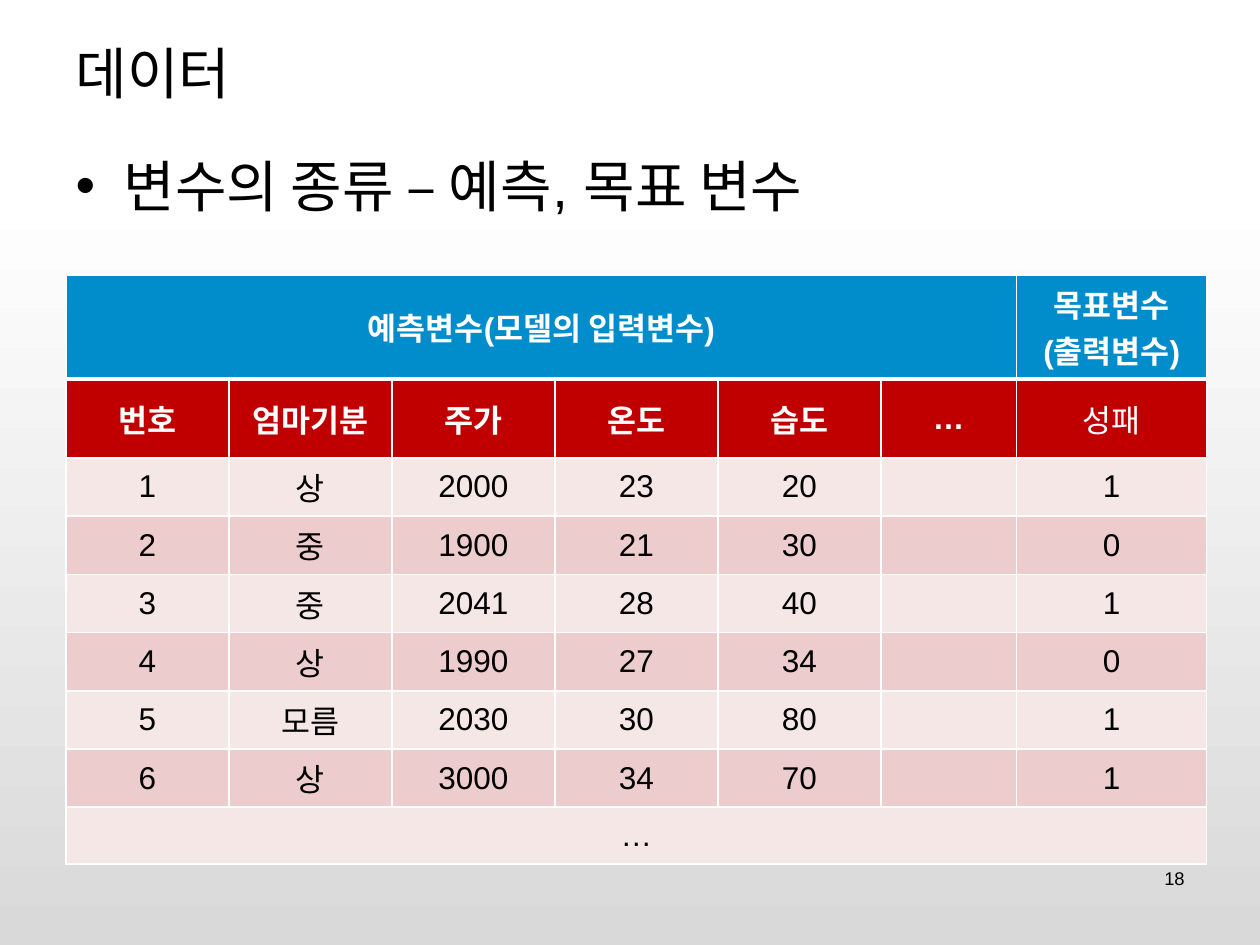
from lxml import etree
from pptx import Presentation, util as u
from pptx.dml.color import RGBColor
from pptx.enum import text
from pptx.oxml.ns import qn

PX = u.Inches(1) / 126
LATIN, KOREAN = "Arial", "Noto Sans CJK KR"
BLACK = RGBColor(0x00, 0x00, 0x00)
WHITE = RGBColor(0xFF, 0xFF, 0xFF)
GRAY = RGBColor(0xD9, 0xD9, 0xD9)
BLUE = RGBColor(0x01, 0x8C, 0xCB)
RED = RGBColor(0xC0, 0x00, 0x00)
PALE = RGBColor(0xF6, 0xE7, 0xE7)
PINK = RGBColor(0xEC, 0xCC, 0xCC)


def write(frame, content, align, **formats):
    """Fill a text frame, one paragraph a line, with Latin and Korean fonts."""
    frame.text = content
    for paragraph in frame.paragraphs:
        paragraph.alignment = align
        paragraph.space_before = u.Pt(0)
        for run in paragraph.runs:
            font = run.font
            font.name = LATIN
            color = formats.get("color", BLACK)
            font.color.rgb = color
            for name, value in formats.items():
                if name != "color":
                    setattr(font, name, value)
            latin = font._element.find(qn("a:latin"))
            east_asian = etree.Element(qn("a:ea"), typeface=KOREAN)
            latin.addnext(east_asian)


def border(cell, bottom_width):
    """Draw white lines on all four sides of a cell."""
    properties = cell._tc.get_or_add_tcPr()
    widths = {"lnL": 1, "lnR": 1, "lnT": 1, "lnB": bottom_width}
    for index, (side, width) in enumerate(widths.items()):
        line = etree.Element(qn("a:" + side), w=str(u.Pt(width)))
        fill = etree.SubElement(line, qn("a:solidFill"))
        etree.SubElement(fill, qn("a:srgbClr"), val=str(WHITE))
        properties.insert(index, line)


presentation = Presentation()
presentation.slide_width = u.Inches(10)
presentation.slide_height = u.Inches(7.5)
slide = presentation.slides.add_slide(presentation.slide_layouts[1])

# Background: white fading to gray downwards
background = slide.background.fill
background.gradient()
background.gradient_angle = 270
for stop, (position, color) in zip(background.gradient_stops, [(0.2, WHITE), (1, GRAY)]):
    stop.position = position
    stop.color.rgb = color

# Title, bullet list and page number
title, body = slide.shapes.title, slide.placeholders[1]
number = slide.shapes.add_textbox(0, 0, 0, 0)
places = [
    (title, (63, 38, 1134, 68), text.MSO_ANCHOR.MIDDLE),
    (body, (63, 145, 1134, 699), text.MSO_ANCHOR.TOP),
    (number, (903, 861, 294, 66), text.MSO_ANCHOR.TOP),
]
for shape, place, anchor in places:
    for name, length in zip(("left", "top", "width", "height"), place):
        setattr(shape, name, round(length * PX))
    shape.text_frame.word_wrap = True
    shape.text_frame.auto_size = text.MSO_AUTO_SIZE.NONE
    shape.text_frame.vertical_anchor = anchor

write(title.text_frame, "데이터", text.PP_ALIGN.LEFT, size=u.Pt(32), name=KOREAN)
write(body.text_frame, "변수의 종류 – 예측, 목표 변수", text.PP_ALIGN.LEFT, size=u.Pt(32))
write(number.text_frame, "18", text.PP_ALIGN.RIGHT, size=u.Pt(10.5))

bullet = body.text_frame.paragraphs[0]._p.get_or_add_pPr()
bullet.set("marL", str(round(48 * PX)))
bullet.set("indent", str(round(-48 * PX)))
etree.SubElement(bullet, qn("a:buFont"), typeface=LATIN)
etree.SubElement(bullet, qn("a:buChar"), char="•")

# Table of predictor and target variables
rows = [
    ["예측변수(모델의 입력변수)", "", "", "", "", "", "목표변수\n(출력변수)"],
    ["번호", "엄마기분", "주가", "온도", "습도", "…", "성패"],
    ["1", "상", "2000", "23", "20", "", "1"],
    ["2", "중", "1900", "21", "30", "", "0"],
    ["3", "중", "2041", "28", "40", "", "1"],
    ["4", "상", "1990", "27", "34", "", "0"],
    ["5", "모름", "2030", "30", "80", "", "1"],
    ["6", "상", "3000", "34", "70", "", "1"],
    ["…", "", "", "", "", "", ""],
]
widths = [163] * 5 + [136, 190]
heights = [89, 79] + [57] * 7
frame = slide.shapes.add_table(
    len(rows), len(widths), *(round(v * PX) for v in (66, 275, sum(widths), sum(heights)))
)
table = frame.table
table.first_row = table.horz_banding = False
for column, width in zip(table.columns, widths):
    column.width = round(width * PX)
for row, height in zip(table.rows, heights):
    row.height = round(height * PX)

table.cell(0, 0).merge(table.cell(0, 5))
table.cell(8, 0).merge(table.cell(8, 6))

for row_index, values in enumerate(rows):
    heading = row_index < 2
    fill = (BLUE, RED)[row_index] if heading else (PALE, PINK)[row_index % 2]
    for column_index, value in enumerate(values):
        cell = table.cell(row_index, column_index)
        cell.fill.solid()
        cell.fill.fore_color.rgb = fill
        cell.vertical_anchor = text.MSO_ANCHOR.MIDDLE
        border(cell, 3 if row_index == 0 else 1)
        if value:
            write(cell.text_frame, value, text.PP_ALIGN.CENTER, size=u.Pt(18),
                  color=WHITE if heading else BLACK, bold=heading and value != "성패")

presentation.save("out.pptx")
